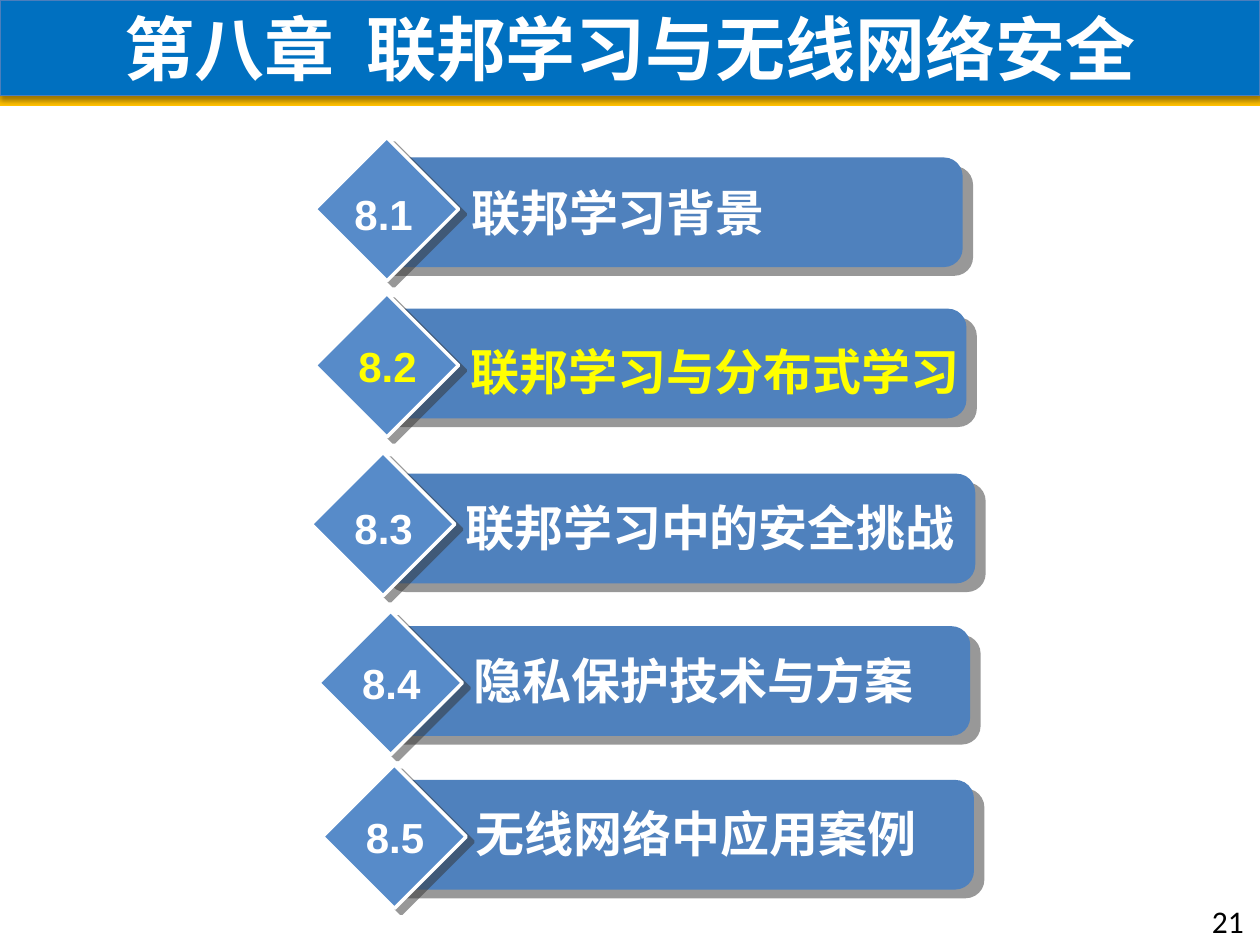
from dataclasses import dataclass
from lxml import etree
from pptx import Presentation
from pptx.dml.color import RGBColor
from pptx.enum.shapes import MSO_SHAPE
from pptx.enum.text import MSO_ANCHOR, MSO_AUTO_SIZE, PP_ALIGN
from pptx.oxml.ns import qn
from pptx.util import Inches, Pt

RECT, ROUND, DIAMOND = MSO_SHAPE.RECTANGLE, MSO_SHAPE.ROUNDED_RECTANGLE, MSO_SHAPE.DIAMOND
LEFT, CENTER = PP_ALIGN.LEFT, PP_ALIGN.CENTER
TOP, MIDDLE = MSO_ANCHOR.TOP, MSO_ANCHOR.MIDDLE
GROW, FIXED = MSO_AUTO_SIZE.SHAPE_TO_FIT_TEXT, MSO_AUTO_SIZE.NONE
CJK = "Noto Sans CJK SC"
COLORS = {
    "header": "0070C0", "header_line": "4B7EBC", "stripe": "FFC000",
    "bar": "4F81BD", "diamond": "578BC9", "white": "FFFFFF",
    "current": "FFFF00", "black": "000000", "shadow": "333333",
}

# Grid of 100 columns by 75 rows
COLS, ROWS = 100, 75
WIDTH, HEIGHT = Inches(10), Inches(7.5)
BAR_W, BAR_H = 47.5, 8.7
DIAMOND_SIZE = 11.4
LABEL_W, LABEL_H = 42.7, 5.7
NUMBER_W, NUMBER_H = 6.7, 5


@dataclass
class Shadow:
    color: str
    opacity: int
    blur: float
    distance: float
    angle: int


@dataclass
class Section:
    number: str
    label: str
    bar: tuple[float, float]
    diamond: tuple[float, float]
    label_at: tuple[float, float]
    number_at: tuple[float, float]
    color: str = "white"
    font: str = "Calibri"


HEADER_SHADOW = Shadow("black", 38, 3.1, 1.6, 90)
BAR_SHADOW = Shadow("shadow", 50, 0, 7.8, 40)
DIAMOND_SHADOW = Shadow("shadow", 50, 0, 5, 37)

SECTIONS = [
    Section("8.1", "联邦学习背景", (28.9, 12.5), (25, 10.9), (27.7, 14), (27.1, 14.5)),
    Section("8.2", "联邦学习与分布式学习", (29.2, 24.5), (25, 23.3), (35.4, 26.6),
            (27.4, 26.5), color="current"),
    Section("8.3", "联邦学习中的安全挑战", (29.9, 37.6), (24.7, 35.9), (35, 39), (27.1, 39.4)),
    Section("8.4", "隐私保护技术与方案", (29.5, 49.7), (25.3, 48.5), (33.7, 51.1), (27.7, 51.7)),
    Section("8.5", "无线网络中应用案例", (29.8, 61.9), (25.6, 60.7), (33.9, 63.3),
            (28, 63.9), font="Arial"),
]


def rgb(name: str) -> RGBColor:
    return RGBColor.from_string(COLORS[name])


def box(col: float, row: float, cols: float, rows: float) -> tuple[int, ...]:
    return (round(WIDTH * col / COLS), round(HEIGHT * row / ROWS),
            round(WIDTH * cols / COLS), round(HEIGHT * rows / ROWS))


def add_shadow(sp, shadow: Shadow) -> None:
    effects = sp._element.spPr.find(qn("a:effectLst"))
    outer = etree.SubElement(effects, qn("a:outerShdw"), blurRad=str(Pt(shadow.blur)),
                             dist=str(Pt(shadow.distance)), dir=str(shadow.angle * 60000),
                             algn="ctr", rotWithShape="0")
    color = etree.SubElement(outer, qn("a:srgbClr"), val=COLORS[shadow.color])
    etree.SubElement(color, qn("a:alpha"), val=str(shadow.opacity * 1000))


def add_block(shapes, kind, at, fill: str, line: str | None = None,
              line_width: float = 1, shadow: Shadow | None = None):
    sp = shapes.add_shape(kind, *box(*at))
    sp.fill.solid()
    sp.fill.fore_color.rgb = rgb(fill)
    if line:
        sp.line.color.rgb = rgb(line)
        sp.line.width = Pt(line_width)
    else:
        sp.line.fill.background()
    sp.shadow.inherit = False
    if shadow:
        add_shadow(sp, shadow)
    return sp


def write(sp, text: str, *, size: float, font: str, color: str, bold: bool = True,
          align=CENTER, anchor=TOP, wrap: bool = True, fit=FIXED) -> None:
    tf = sp.text_frame
    tf.word_wrap = wrap
    tf.auto_size = fit
    tf.vertical_anchor = anchor
    p = tf.paragraphs[0]
    p.alignment = align
    r = p.add_run()
    r.text = text
    r.font.size = Pt(size)
    r.font.bold = bold
    r.font.color.rgb = rgb(color)
    r.font.name = font
    etree.SubElement(r.font._element, qn("a:ea"), typeface=CJK)


def add_section(s, item: Section) -> None:
    shapes = s.shapes.add_group_shape().shapes
    bar = add_block(shapes, ROUND, (*item.bar, BAR_W, BAR_H), "bar", shadow=BAR_SHADOW)
    bar.adjustments[0] = 0.17
    add_block(shapes, DIAMOND, (*item.diamond, DIAMOND_SIZE, DIAMOND_SIZE), "diamond",
              line="white", line_width=2, shadow=DIAMOND_SHADOW)
    label = shapes.add_textbox(*box(*item.label_at, LABEL_W, LABEL_H))
    write(label, item.label, size=28, font=item.font, color=item.color, fit=GROW)
    number = shapes.add_textbox(*box(*item.number_at, NUMBER_W, NUMBER_H))
    write(number, item.number, size=24, font="Arial", color=item.color, wrap=False, fit=GROW)


def main() -> None:
    prs = Presentation()
    prs.slide_width, prs.slide_height = WIDTH, HEIGHT
    s = prs.slides.add_slide(prs.slide_layouts[6])

    # Header band and stripe
    add_block(s.shapes, RECT, (0, 7.6, COLS, 0.8), "stripe")
    header = add_block(s.shapes, RECT, (0, 0, COLS, 7.6), "header", line="header_line",
                       line_width=0.75, shadow=HEADER_SHADOW)
    write(header, "第八章  联邦学习与无线网络安全", size=40, font=CJK, color="white", anchor=MIDDLE)

    # Chapter sections
    for item in SECTIONS:
        add_section(s, item)

    # Page number
    page = s.shapes.add_textbox(*box(95.2, 71.1, 4.7, 4))
    write(page, "21", size=18, font="Calibri", color="black", bold=False, align=LEFT)

    prs.save("out.pptx")


if __name__ == "__main__":
    main()
